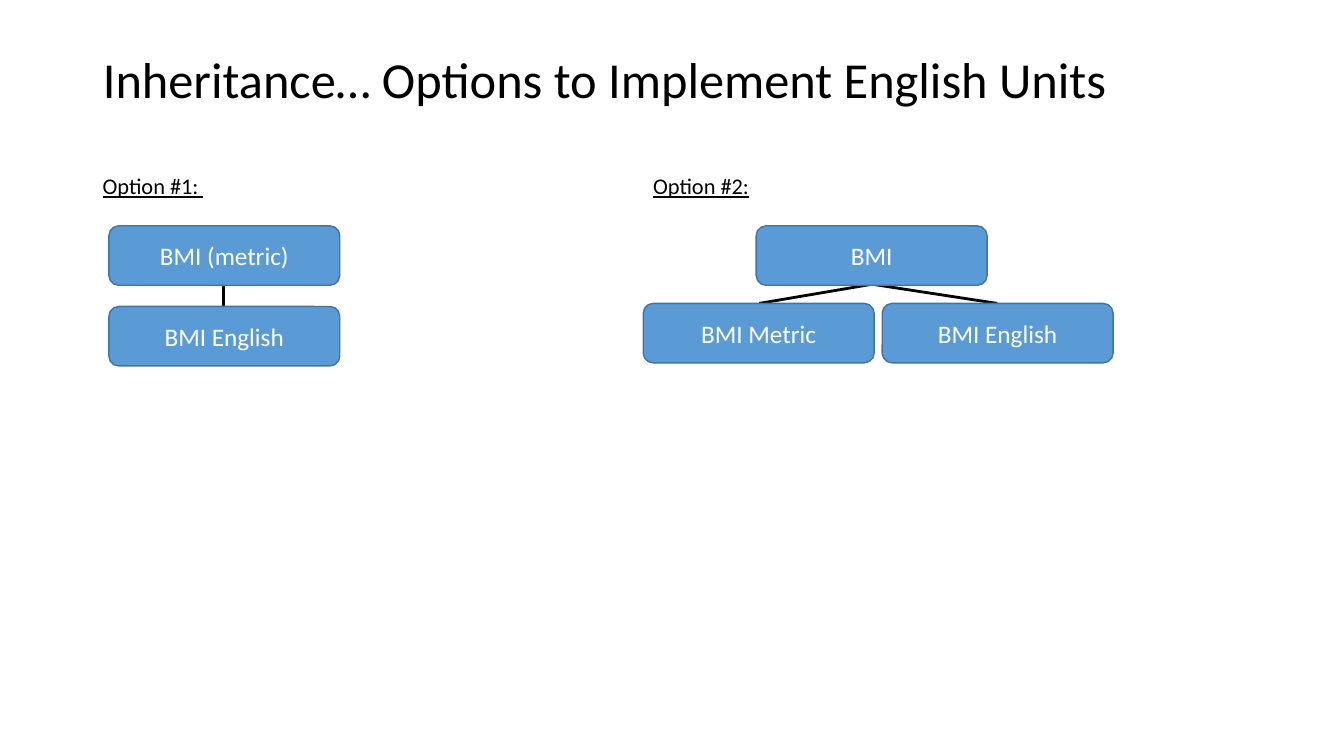
"""Build a slide comparing two inheritance options for English units."""
from lxml import etree
from pptx import Presentation
from pptx import util as u
from pptx.dml.color import RGBColor
from pptx.enum import shapes, text
from pptx.oxml.ns import qn

PX = 9144
BOX_W, BOX_H = 229, 59


def px(*lengths):
    return [u.Emu(n * PX) for n in lengths]


def style(p, size, color):
    for r in p.runs:
        r.font.name = "Calibri"
        r.font.size = u.Pt(size)
        r.font.color.rgb = RGBColor.from_string(color)


prs = Presentation()
prs.slide_width, prs.slide_height = px(1333, 750)
s = prs.slides.add_slide(prs.slide_layouts[5])

links = [(222, 282, 222, 304), (865, 282, 753, 301), (865, 282, 989, 301)]
for ends in links:
    line = s.shapes.add_connector(shapes.MSO_CONNECTOR.STRAIGHT, *px(*ends))
    line.line.color.rgb = RGBColor.from_string("000000")
    line.line.width = u.Pt(2)
    etree.SubElement(line._element.spPr, qn("a:effectLst"))

title = s.shapes.title
title.left, title.top, title.width, title.height = px(92, 40, 1150, 83)
tf = title.text_frame
tf.text = "Inheritance… Options to Implement English Units"
tf.word_wrap = True
tf.auto_size = text.MSO_AUTO_SIZE.NONE
tf.vertical_anchor = text.MSO_ANCHOR.MIDDLE
p = tf.paragraphs[0]
p.alignment = text.PP_ALIGN.LEFT
p.line_spacing = 0.9
style(p, 36, "000000")

for label, left, height in [("Option #1: ", 92, 43), ("Option #2:", 638, 52)]:
    sp = s.shapes.add_textbox(*px(left, 169, 453, height))
    tf = sp.text_frame
    tf.word_wrap = True
    tf.text = label
    p = tf.paragraphs[0]
    p.line_spacing = 0.9
    p.space_before = u.Pt(10)
    style(p, 16, "000000")
    p.runs[0].font.underline = True

classes = [
    ("BMI (metric)", 108, 224),
    ("BMI English", 108, 304),
    ("BMI", 750, 224),
    ("BMI Metric", 638, 301),
    ("BMI English", 875, 301),
]
for name, left, top in classes:
    sp = s.shapes.add_shape(shapes.MSO_SHAPE.ROUNDED_RECTANGLE, *px(left, top, BOX_W, BOX_H))
    sp.shadow.inherit = False
    sp.fill.solid()
    sp.fill.fore_color.rgb = RGBColor.from_string("5B9BD5")
    sp.line.color.rgb = RGBColor.from_string("43739E")
    sp.line.width = u.Pt(1)
    tf = sp.text_frame
    tf.text = name
    tf.vertical_anchor = text.MSO_ANCHOR.MIDDLE
    p = tf.paragraphs[0]
    p.alignment = text.PP_ALIGN.CENTER
    style(p, 18, "FFFFFF")

prs.save("out.pptx")
